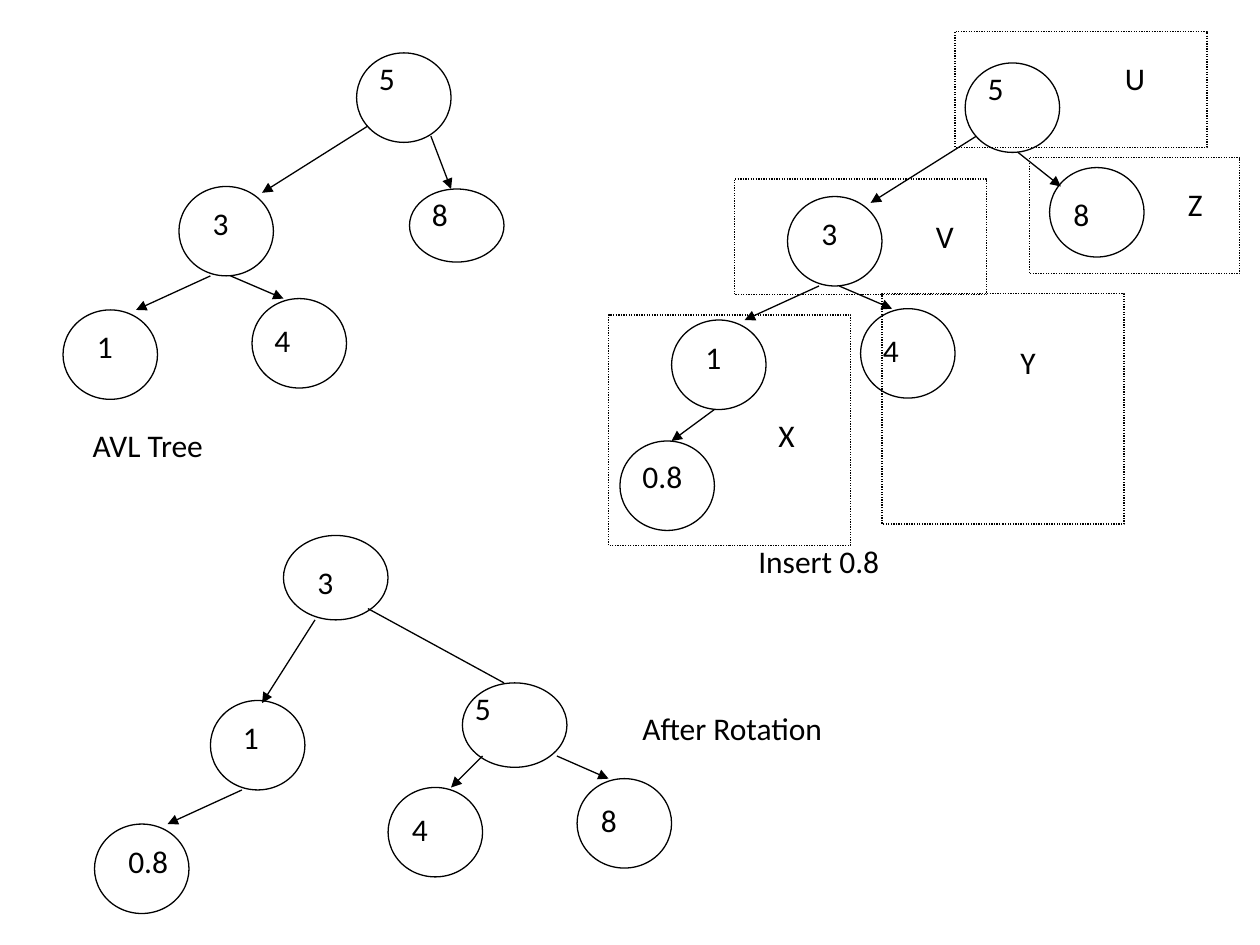
from dataclasses import dataclass

from lxml import etree
from pptx import Presentation
from pptx.dml.color import RGBColor
from pptx.enum.dml import MSO_LINE_DASH_STYLE as Dash
from pptx.enum.shapes import MSO_CONNECTOR, MSO_SHAPE
from pptx.enum.text import MSO_AUTO_SIZE
from pptx.oxml.ns import qn
from pptx.util import Inches, Pt

BLACK = RGBColor(0, 0, 0)
FONT = "Calibri"


@dataclass
class Node:
    """A tree node: place in its tree, label offset in the node, and size."""
    key: str
    x: float
    y: float
    label_x: float
    label_y: float
    width: float = 0.75
    height: float = 0.71
    label_width: float = 1


# Places are in inches from the tree's origin; edges are (x1, y1, x2, y2).
CORE_NODES = [
    Node("5", 2.33, 0, 0.08, 0, label_width=1.33),
    Node("3", 0.92, 1.06, 0.17, 0.09, label_width=1.33),
    Node("1", 0, 2.04, 0.17, 0.09, label_width=0.83),
    Node("4", 1.5, 1.95, 0.08, 0.13),
]
CORE_EDGES = [
    (2.42, 0.58, 1.58, 1.11),
    (1.17, 1.77, 0.58, 2.04),
    (1.33, 1.77, 1.75, 1.95),
]
BALANCED_NODES = CORE_NODES + [Node("8", 2.75, 1.08, 0.08, 0, height=0.58)]
BALANCED_EDGES = CORE_EDGES + [(2.92, 0.66, 3.08, 1.08)]

INSERTED_NODES = CORE_NODES + [
    Node("8", 3, 0.83, 0.09, 0.17, label_width=0.92),
    Node("0.8", -0.41, 3, 0.08, 0.08, label_width=1.33),
]
INSERTED_EDGES = CORE_EDGES + [(2.75, 0.71, 3.09, 0.98), (0.34, 2.75, 0, 3)]
SUBTREES = [
    # name, x, y, width, height, label x, label y
    ("U", 2.25, -0.25, 2, 0.92, 1.25, 0.17),
    ("V", 0.5, 0.92, 2, 0.92, 1.5, 0.25),
    ("X", -0.5, 2, 1.92, 1.83, 1.25, 0.75),
    ("Y", 1.67, 1.83, 1.92, 1.83, 1, 0.34),
    ("Z", 2.84, 0.75, 1.67, 0.92, 1.16, 0.17),
]

ROTATED_NODES = [
    Node("3", 1.5, 0, 0.17, 0.17, 0.83, 0.67, 2.08),
    Node("5", 2.92, 1.17, 0, 0, 0.83, 0.67, 0.83),
    Node("1", 0.92, 1.31, 0.16, 0.09, label_width=1.33),
    Node("0.8", 0, 2.29, 0.17, 0.09, label_width=0.83),
    Node("4", 2.33, 2, 0.09, 0.13),
    Node("8", 3.83, 1.93, 0.09, 0.13),
]
ROTATED_EDGES = [
    (1.75, 0.67, 1.33, 1.33),
    (1.17, 2.02, 0.58, 2.29),
    (3.08, 1.75, 2.83, 2),
    (3.67, 1.75, 4.08, 1.93),
]


def add_text(slide, text, x, y, width, height=0.5):
    box = slide.shapes.add_textbox(
        Inches(x), Inches(y), Inches(width), Inches(height))
    frame = box.text_frame
    frame.word_wrap = True
    frame.auto_size = MSO_AUTO_SIZE.SHAPE_TO_FIT_TEXT
    paragraph = frame.paragraphs[0]
    paragraph.text = text
    paragraph.font.name = FONT
    paragraph.font.size = Pt(18)
    paragraph.font.color.rgb = BLACK


def add_outline(slide, kind, x, y, width, height):
    shape = slide.shapes.add_shape(
        kind, Inches(x), Inches(y), Inches(width), Inches(height))
    shape.shadow.inherit = False
    shape.fill.background()
    shape.line.color.rgb = BLACK
    shape.line.width = Pt(0.75)
    return shape


def add_edge(slide, left, top, edge, arrow=True):
    x1, y1, x2, y2 = edge
    connector = slide.shapes.add_connector(
        MSO_CONNECTOR.STRAIGHT, Inches(left + x1), Inches(top + y1),
        Inches(left + x2), Inches(top + y2))
    connector.line.color.rgb = BLACK
    connector.line.width = Pt(0.75)
    properties = connector._element.spPr
    if arrow:
        etree.SubElement(
            properties.find(qn("a:ln")), qn("a:tailEnd"), type="triangle")
    etree.SubElement(properties, qn("a:effectLst"))


def add_tree(slide, left, top, nodes, edges):
    for node in nodes:
        x, y = left + node.x, top + node.y
        add_outline(slide, MSO_SHAPE.OVAL, x, y, node.width, node.height)
        add_text(slide, node.key, x + node.label_x, y + node.label_y,
                 node.label_width, 0.4)
    for edge in edges:
        add_edge(slide, left, top, edge)


def add_balanced_tree(slide, left, top):
    add_tree(slide, left, top, BALANCED_NODES, BALANCED_EDGES)
    add_text(slide, " AVL Tree", left + 0.08, top + 2.91, 4.08)


def add_inserted_tree(slide, left, top):
    add_tree(slide, left, top, INSERTED_NODES, INSERTED_EDGES)
    for name, x, y, width, height, label_x, label_y in SUBTREES:
        x, y = left + x, top + y
        box = add_outline(slide, MSO_SHAPE.RECTANGLE, x, y, width, height)
        box.line.dash_style = Dash.ROUND_DOT
        add_text(slide, name, x + label_x, y + label_y, 0.67)
    add_text(slide, "Insert 0.8", left + 0.59, top + 3.75, 4.08)


def add_rotated_tree(slide, left, top):
    add_tree(slide, left, top, ROTATED_NODES, ROTATED_EDGES)
    add_edge(slide, left, top, (2.17, 0.58, 3.25, 1.17), arrow=False)
    add_text(slide, "After Rotation", left + 4.25, top + 1.33, 2.5)


def main():
    presentation = Presentation()
    presentation.slide_width = Inches(10)
    presentation.slide_height = Inches(7.5)
    slide = presentation.slides.add_slide(presentation.slide_layouts[6])
    add_balanced_tree(slide, 0.5, 0.42)
    add_inserted_tree(slide, 5.33, 0.5)
    add_rotated_tree(slide, 0.75, 4.25)
    presentation.save("out.pptx")


if __name__ == "__main__":
    main()
